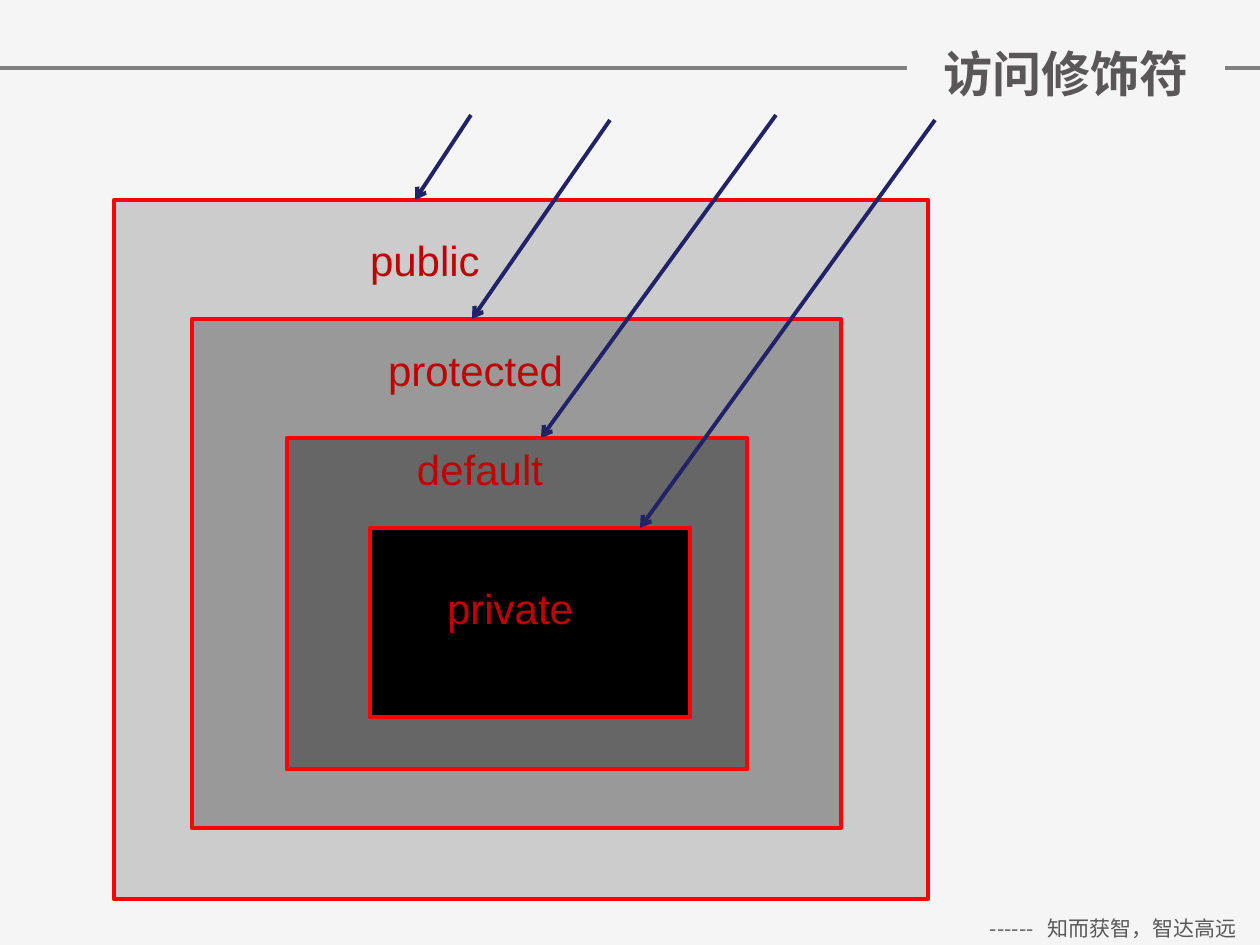
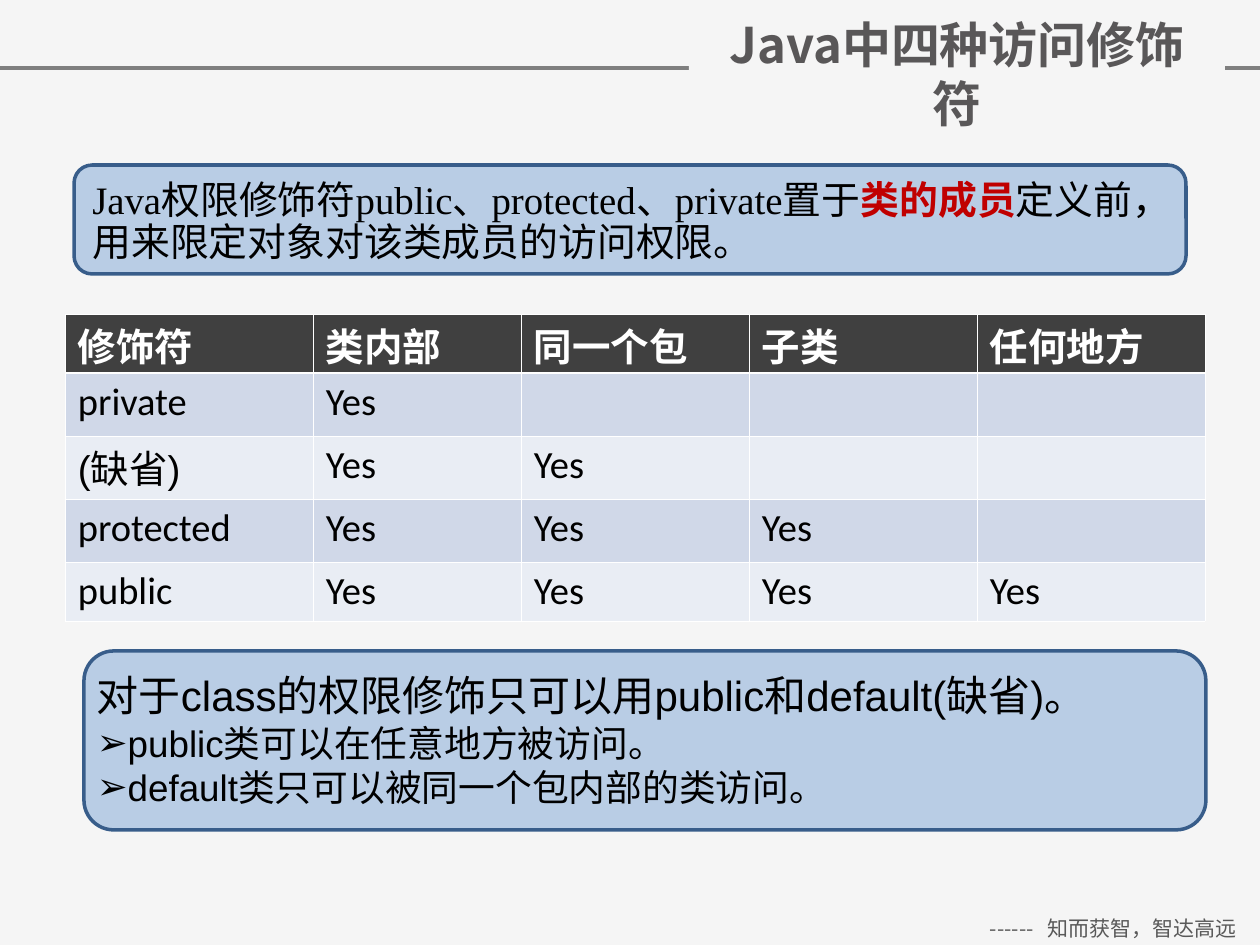
from lxml import etree
from pptx import Presentation
from pptx.dml.color import RGBColor
from pptx.enum.shapes import MSO_CONNECTOR, MSO_SHAPE
from pptx.enum.text import MSO_ANCHOR, PP_ALIGN
from pptx.oxml.ns import qn
from pptx.util import Emu, Pt

LINE = MSO_CONNECTOR.STRAIGHT
RECT, ROUND = MSO_SHAPE.RECTANGLE, MSO_SHAPE.ROUNDED_RECTANGLE
TOP, MID = MSO_ANCHOR.TOP, MSO_ANCHOR.MIDDLE
LEFT, CENTER = PP_ALIGN.LEFT, PP_ALIGN.CENTER

PAPER = RGBColor(0xF5, 0xF5, 0xF5)
RULE = RGBColor(0x7F, 0x7F, 0x7F)
TITLE = RGBColor(0x59, 0x57, 0x58)
FOOT = RGBColor(0x59, 0x59, 0x59)
BLACK = RGBColor(0, 0, 0)
WHITE = RGBColor(0xFF, 0xFF, 0xFF)
RED = RGBColor(0xFF, 0, 0)
CRIMSON = RGBColor(0xC0, 0, 0)
NAVY = RGBColor(0x22, 0x22, 0x68)
SKY = RGBColor(0xB9, 0xCD, 0xE5)
EDGE = RGBColor(0x38, 0x5D, 0x8A)
HEAD = RGBColor(0x40, 0x40, 0x40)
BANDS = (RGBColor(0xD0, 0xD8, 0xE8), RGBColor(0xE9, 0xED, 0xF4))
GRAYS = [RGBColor(v, v, v) for v in (0xCC, 0x99, 0x66, 0)]

HAN, SANS, SERIF, BODY = "Noto Sans CJK SC", "Arial", "Times New Roman", "Calibri"
WIDE, HIGH = 1260, 945


def px(n):
    return Emu(round(n * 914400 / 126))


def sub(node, tag, **attrs):
    return etree.SubElement(node, qn(tag), {k: str(v) for k, v in attrs.items()})


def write(frame, paras, size=24, font=SANS, color=BLACK, bold=False,
          align=LEFT, anchor=TOP, lead=None, pad=(13, 6, 13, 6)):
    """Fill a frame; each paragraph is a string or a dict of text and format."""
    frame.word_wrap = True
    frame.vertical_anchor = anchor
    (frame.margin_left, frame.margin_top,
     frame.margin_right, frame.margin_bottom) = map(px, pad)
    for i, item in enumerate([paras] if isinstance(paras, str) else paras):
        item = {"runs": [(item, {})]} if isinstance(item, str) else item
        para = frame.paragraphs[0] if i == 0 else frame.add_paragraph()
        props = para._p.get_or_add_pPr()
        if "bullet" in item:
            props.set("marL", str(px(30)))
            props.set("indent", str(-px(30)))
            sub(props, "a:buFont", typeface=SANS)
            sub(props, "a:buChar", char=item["bullet"])
        if "tab" in item:
            sub(sub(props, "a:tabLst"), "a:tab", pos=px(item["tab"]), algn="l")
        pts = item.get("size", size)
        para.alignment = align
        if lead:
            para.line_spacing = Pt(round(pts * lead, 1))
        for words, look in item["runs"]:
            run = para.add_run()
            run.text = words
            run.font.size = Pt(pts)
            run.font.name = font
            run.font.bold = look.get("bold", bold)
            run.font.color.rgb = look.get("color", color)
            sub(run._r.get_or_add_rPr(), "a:ea", typeface=HAN)


def text(slide, box, paras, **look):
    write(slide.shapes.add_textbox(*map(px, box)).text_frame, paras, **look)


def shape(slide, kind, box, fill, line=None, width=2):
    item = slide.shapes.add_shape(kind, *map(px, box))
    item.shadow.inherit = False
    item.fill.solid()
    item.fill.fore_color.rgb = fill
    if line is None:
        item.line.fill.background()
    else:
        item.line.color.rgb = line
        item.line.width = Pt(width)
    return item


def stroke(slide, start, end, color, width, arrow=False):
    item = slide.shapes.add_connector(LINE, *map(px, start + end))
    item.line.color.rgb = color
    item.line.width = Pt(width)
    if arrow:
        sub(item.line._get_or_add_ln(), "a:tailEnd", type="arrow")
    sub(item._element.spPr, "a:effectLst")


def frame(deck, title, box):
    """Slide with background, top rule, footer and title."""
    slide = deck.slides.add_slide(deck.slide_layouts[6])
    slide.background.fill.solid()
    slide.background.fill.fore_color.rgb = PAPER
    stroke(slide, (0, 68), (WIDE, 68), RULE, 2)
    text(slide, (977, 907, 283, 38),
         [{"runs": [("------\t知而获智，智达高远", {})], "tab": 58}],
         size=12, font=HAN, color=FOOT, lead=1.2, pad=(13, 9, 0, 0))
    write(shape(slide, RECT, box, PAPER).text_frame, title, size=28, font=HAN,
          color=TITLE, bold=True, align=CENTER, anchor=MID, lead=1.2,
          pad=(20, 8, 20, 0))
    return slide


def nest(slide, box):
    """Nested scopes, each with a label and an arrow to its top edge."""
    left, top = box
    # offset and size, label offset, arrow start and end x
    scopes = (
        ("public", (0, 0, 814, 699), (243, 29), (357, -85), 301),
        ("protected", (78, 119, 649, 509), (261, 139), (496, -80), 358),
        ("default", (173, 238, 460, 331), (290, 238), (662, -85), 427),
        ("private", (256, 328, 320, 189), (320, 377), (821, -80), 526),
    )
    for (name, (x, y, w, h), *rest), gray in zip(scopes, GRAYS):
        shape(slide, RECT, (left + x, top + y, w, h), gray, RED, 2.5)
    for name, area, (x, y), *rest in scopes:
        text(slide, (left + x, top + y, 210, 63), name, color=CRIMSON)
    for name, area, label, (x, y), end in scopes:
        stroke(slide, (left + x, top + y), (left + end, top + area[1]),
               NAVY, 2.25, arrow=True)


def intro(slide, box):
    """Callout above the table."""
    runs = [("Java权限修饰符public、protected、private置于", {}),
            ("类的成员", {"color": CRIMSON, "bold": True}),
            ("定义前，用来限定对象对该类成员的访问权限。", {})]
    write(shape(slide, ROUND, box, SKY, EDGE).text_frame, [{"runs": runs}],
          size=22.2, font=SERIF, anchor=MID, lead=1.08, pad=(13, 12, 13, 6))


def edges(cell, row):
    """White cell borders, heavier under the header."""
    props = cell._tc.get_or_add_tcPr()
    heavy = {"a:lnB": 0, "a:lnT": 1}
    for tag in ("a:lnL", "a:lnR", "a:lnT", "a:lnB"):
        width = 1.47 if heavy.get(tag) == row else 0.45
        line = sub(props, tag, w=Pt(width))
        sub(sub(line, "a:solidFill"), "a:srgbClr", val=WHITE)


def grid(slide, box):
    """Table of modifiers and where each one gives access."""
    heads = ("修饰符", "类内部", "同一个包", "子类", "任何地方")
    names = ("private", "(缺省)", "protected", "public")
    rows = [heads] + [(name,) + ("Yes",) * n + ("",) * (4 - n)
                      for n, name in enumerate(names, 1)]
    widths, heights = (248, 208, 228, 228, 228), (59, 63, 63, 63, 59)
    table = slide.shapes.add_table(
        len(rows), len(heads), *map(px, box + (sum(widths), sum(heights)))).table
    for col, width in zip(table.columns, widths):
        col.width = px(width)
    for r, (row, height) in enumerate(zip(rows, heights)):
        table.rows[r].height = px(height)
        for c, words in enumerate(row):
            cell = table.cell(r, c)
            edges(cell, r)
            cell.fill.solid()
            cell.fill.fore_color.rgb = BANDS[(r - 1) % 2] if r else HEAD
            if not words:
                continue
            han = r == 0 or words == "(缺省)"
            font = HAN if r == 0 else SANS if han else BODY
            write(cell.text_frame, words, size=22, font=font,
                  color=BLACK if r else WHITE, bold=r == 0)
            cell.margin_left = cell.margin_right = px(13)
            cell.margin_top = px(3 if han else 6)
            cell.margin_bottom = px(0 if han else 6)


def notes(slide, box):
    """Rules for classes, below the table."""
    left, top, width, height = box
    shape(slide, ROUND, box, SKY, EDGE)
    points = ("public类可以在任意地方被访问。",
              "default类只可以被同一个包内部的类访问。")
    text(slide, (left, top + 10, width, height - 28),
         ["对于class的权限修饰只可以用public和default(缺省)。"]
         + [{"runs": [(point, {})], "bullet": "➢", "size": 21}
            for point in points],
         lead=1.2, pad=(13, 9, 13, 6))


def main():
    deck = Presentation()
    deck.slide_width, deck.slide_height = px(WIDE), px(HIGH)

    # Nested scopes
    scopes = frame(deck, "访问修饰符", (907, 33, 318, 72))
    nest(scopes, (114, 200))

    # Access table
    access = frame(deck, "Java中四种访问修饰符", (689, 4, 536, 131))
    intro(access, (74, 165, 1112, 109))
    grid(access, (65, 314))
    notes(access, (84, 651, 1122, 179))

    deck.save("out.pptx")


if __name__ == "__main__":
    main()
